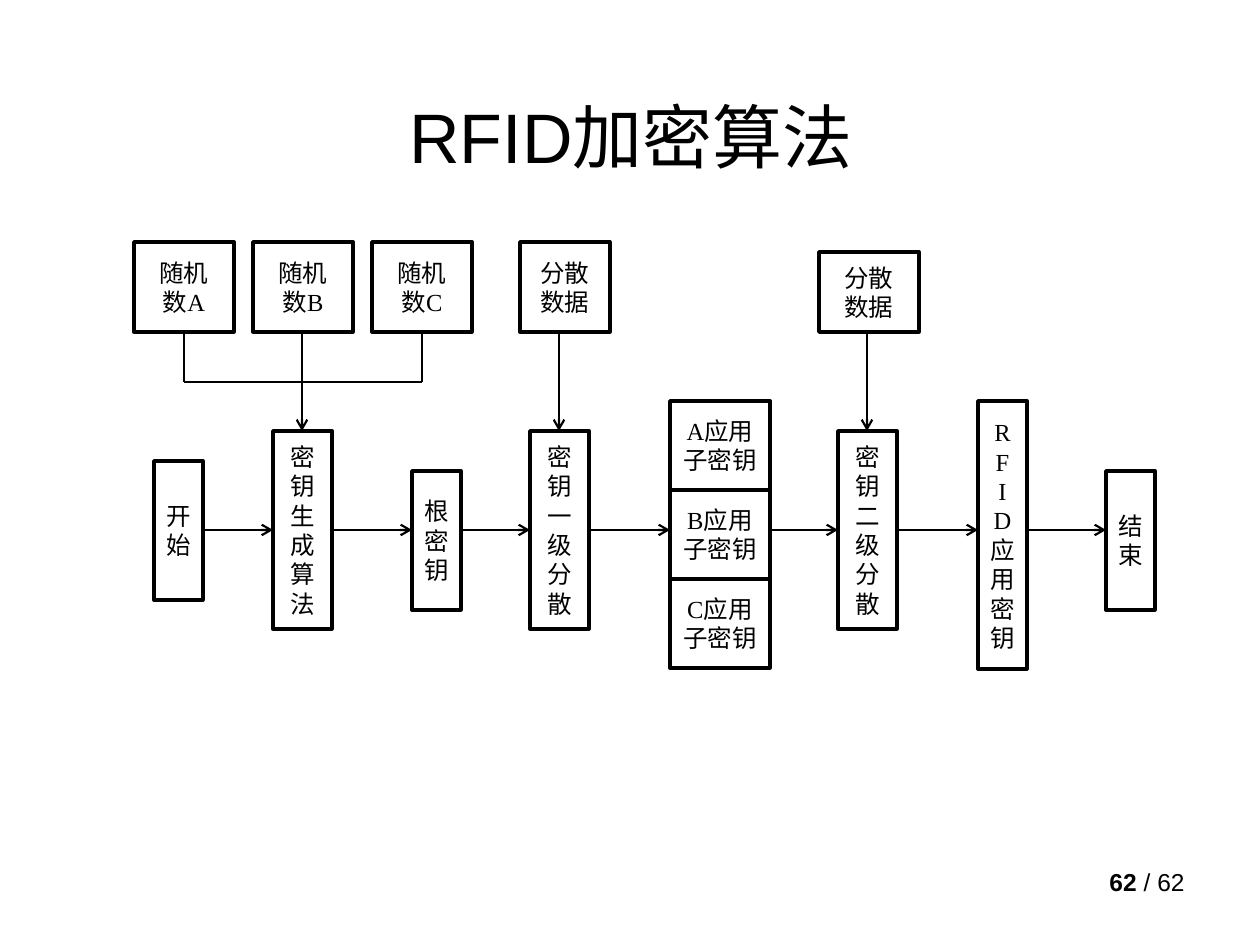
"""Build a one-slide flow chart of the RFID key encryption algorithm."""
from lxml import etree
from pptx import Presentation, util as u
from pptx.dml.color import RGBColor
from pptx.enum import shapes, text
from pptx.oxml.ns import qn

PX = u.Inches(1) // 126
INK = "000000"
SERIF, SANS = "Times New Roman", "Arial"
AXIS = 530
BUS = 382
INPUT_BOTTOM = 332
ALIGN = text.PP_ALIGN

TITLE = "RFID加密算法"
PAGE_NUMBER = [("62 ", True), ("/ 62", False)]

# Each step: left, top, width, height, then one or more stacked boxes.
STEPS = [
    (154, 461, 49, 139, ["开始"]),
    (273, 431, 59, 198, ["密钥生成算法"]),
    (412, 471, 49, 139, ["根密钥"]),
    (530, 431, 59, 198, ["密钥一级分散"]),
    (670, 401, 100, 89, ["A应用\n子密钥", "B应用\n子密钥", "C应用\n子密钥"]),
    (838, 431, 59, 198, ["密钥二级分散"]),
    (978, 401, 49, 268, ["RF\nI\nD应用密钥"]),
    (1106, 471, 49, 139, ["结束"]),
]
RANDOM_INPUTS = [(134 + 119 * i, 242, 100, 90, f"随机\n数{name}")
                 for i, name in enumerate("ABC")]
DATA_INPUTS = [(520, 242, 90, 90, "分散\n数据"), (819, 252, 100, 80, "分散\n数据")]
FED_STEPS = [1, 3, 5]


def colour(value):
    """Turn a hex string into a colour."""
    return RGBColor.from_string(value)


def emu(*lengths):
    """Scale px lengths to EMU."""
    return [u.Emu(length * PX) for length in lengths]


def write(box, lines, size=14, font=SERIF, align=ALIGN.CENTER,
          anchor=text.MSO_ANCHOR.MIDDLE):
    """Fill a box with lines, each a list of (words, bold) spans."""
    frame = box.text_frame
    frame.word_wrap = True
    frame.vertical_anchor = anchor
    for number, spans in enumerate(lines):
        para = frame.add_paragraph() if number else frame.paragraphs[0]
        para.alignment = align
        for words, bold in spans:
            span = para.add_run()
            span.text = words
            span.font.size = u.Pt(size)
            span.font.name = font
            span.font.bold = bold
            span.font.color.rgb = colour(INK)


def add_box(page, left, top, width, height, words):
    """Draw an outlined box with centred text."""
    box = page.shapes.add_shape(shapes.MSO_SHAPE.RECTANGLE,
                                *emu(left, top, width, height))
    box.shadow.inherit = False
    box.fill.background()
    box.line.color.rgb = colour(INK)
    box.line.width = u.Pt(2)
    write(box, [[(line, False)] for line in words.split("\n")])


def add_line(page, x1, y1, x2, y2, arrow=False):
    """Draw a straight line, with an arrowhead at its end if asked."""
    line = page.shapes.add_connector(shapes.MSO_CONNECTOR.STRAIGHT,
                                     *emu(x1, y1, x2, y2))
    line.line.color.rgb = colour(INK)
    line.line.width = u.Pt(1.25)
    if arrow:
        etree.SubElement(line.line._get_or_add_ln(), qn("a:tailEnd"), type="arrow")
    etree.SubElement(line._element.spPr, qn("a:effectLst"))


def main():
    """Build and save the deck."""
    deck = Presentation()
    deck.slide_width, deck.slide_height = u.Inches(10), u.Inches(7.5)
    page = deck.slides.add_slide(deck.slide_layouts[6])

    number = page.shapes.add_textbox(*emu(903, 861, 294, 66))
    write(number, [PAGE_NUMBER], font=SANS, align=ALIGN.RIGHT,
          anchor=text.MSO_ANCHOR.TOP)
    title = page.shapes.add_textbox(*emu(64, 86, 1134, 100))
    write(title, [[(TITLE, False)]], size=40, font=SANS)

    for left, top, width, height, labels in STEPS:
        for row, label in enumerate(labels):
            add_box(page, left, top + row * height, width, height, label)
    for item in RANDOM_INPUTS + DATA_INPUTS:
        add_box(page, *item)

    for step, following in zip(STEPS, STEPS[1:]):
        add_line(page, step[0] + step[2], AXIS, following[0], AXIS, arrow=True)
    for index in FED_STEPS:
        left, top, width = STEPS[index][:3]
        middle = left + width // 2
        add_line(page, middle, INPUT_BOTTOM, middle, top, arrow=True)

    first, last = [RANDOM_INPUTS[i][0] + RANDOM_INPUTS[i][2] // 2 for i in (0, -1)]
    add_line(page, first, BUS, last, BUS)
    for middle in (first, last):
        add_line(page, middle, INPUT_BOTTOM, middle, BUS)

    deck.save("out.pptx")


if __name__ == "__main__":
    main()
